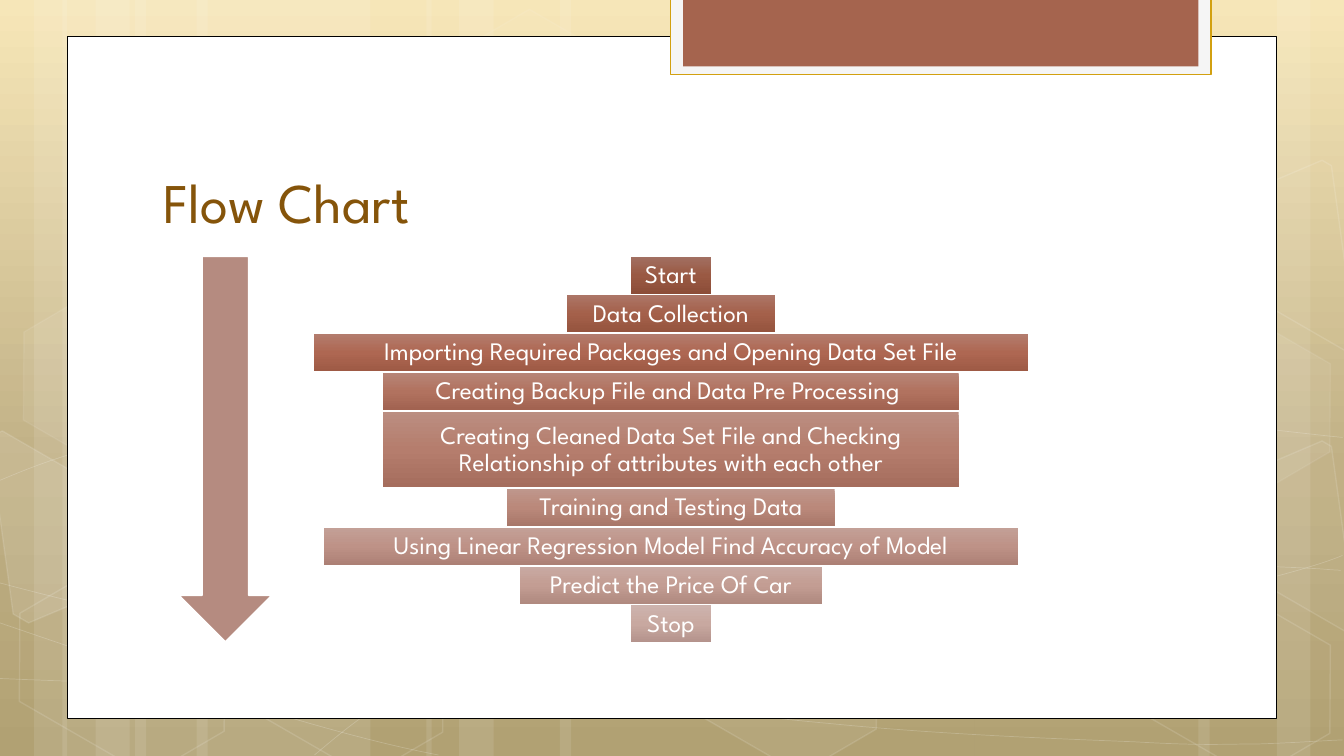
import copy

from lxml import etree
from pptx import Presentation
from pptx import util as u
from pptx.dml.color import RGBColor
from pptx.enum import shapes, text
from pptx.oxml import ns

WHITE = RGBColor(0xFF, 0xFF, 0xFF)
BLACK = RGBColor(0x00, 0x00, 0x00)
TITLE_BROWN = RGBColor(0x85, 0x54, 0x0A)
TAB_GREY = RGBColor(0xF5, 0xF5, 0xF5)
TAB_GOLD = RGBColor(0xD2, 0xA0, 0x10)
TAB_RUST = RGBColor(0xA5, 0x64, 0x4E)
ARROW_ROSE = RGBColor(0xB5, 0x8B, 0x80)
BACKDROP = [RGBColor.from_string(c) for c in ("F6E4B0", "BAA878", "A99764")]
STEP_GRADIENTS = [[RGBColor.from_string(c) for c in row.split()] for row in (
    "A27062 9A5943 8C4D38", "AC7566 A4604A 95543E", "B37C6D AE6752 9E5A45",
    "B78577 B1725F A26351", "BB8E81 B57D6D A56D5D", "BF978C BA887A A87769",
    "C3A097 BE9287 AC8075", "C8A9A2 C39D93 B08A80", "CDB3AD C8A8A0 B4938C")]
FONT = "League Spartan"
RECT = shapes.MSO_SHAPE.RECTANGLE


def paint(part, fill=None, middle=0.5, alpha=100, line=None, width=1, line_alpha=100):
    """Fill a part with nothing, a colour or a three-colour gradient, and outline a shape."""
    if fill is None:
        part.fill.background()
    elif isinstance(fill, list):
        part.fill.gradient()
        part.fill.gradient_angle = 270
        stops = part.element.find(".//" + ns.qn("a:gsLst"))
        stops.insert(1, copy.deepcopy(stops[0]))
        for stop, place, colour in zip(part.fill.gradient_stops, (0, middle, 1), fill):
            stop.position = place
            stop.color.rgb = colour
    else:
        part.fill.solid()
        part.fill.fore_color.rgb = fill
    if not hasattr(part, "line"):
        return
    part.shadow.inherit = False
    if line is None:
        part.line.fill.background()
    else:
        part.line.color.rgb = line
        part.line.width = u.Pt(width)
    for place, percent in (("p:spPr/a:solidFill", alpha), ("a:ln/a:solidFill", line_alpha)):
        for colour in part.element.xpath(f".//{place}/a:srgbClr"):
            if percent < 100:
                etree.SubElement(colour, ns.qn("a:alpha"), val=str(percent * 1000))


def write(part, words, size=18, colour=WHITE, align=text.PP_ALIGN.CENTER,
          anchor=text.MSO_ANCHOR.MIDDLE, inset=(3.6, 3.6), spacing=0.9):
    """Put one formatted paragraph into a shape."""
    frame = part.text_frame
    frame.word_wrap = True
    frame.vertical_anchor = anchor
    frame.margin_left = frame.margin_right = u.Pt(inset[0])
    frame.margin_top = frame.margin_bottom = u.Pt(inset[1])
    paragraph = frame.paragraphs[0]
    paragraph.alignment = align
    paragraph.line_spacing = spacing
    run = paragraph.add_run()
    run.text = words
    run.font.name = FONT
    run.font.size = u.Pt(size)
    run.font.color.rgb = colour


deck = Presentation()
deck.slide_width, deck.slide_height = u.Pt(960), u.Pt(540)
slide = deck.slides.add_slide(deck.slide_layouts[6])
paint(slide.background, BACKDROP, middle=0.62)
canvas = slide.shapes

# Pale vertical bands: left, width
for left, width in ((96.5, 168), (0, 48), (24.5, 80), (140.4, 168), (44.6, 48), (68.4, 80),
                    (696, 168), (912, 48), (856, 80), (400, 296), (304.6, 48), (328, 80)):
    band = canvas.add_shape(RECT, u.Pt(left), 0, u.Pt(width), u.Pt(540))
    paint(band, WHITE, alpha=10)

# Sweeping lines: a start point, then two controls and an end for each cubic
sweeps = [
    [(-0.7, 484.6), (51, 486.7), (103, 488.9), (175, 488.2), (247, 487.4), (335.5, 486),
     (431.3, 478.8), (527.8, 471.6), (663.8, 457.9), (752.4, 444.2), (840.2, 430.6),
     (930.2, 409), (959, 396.7)],
    [(-0.7, 343.4), (26.6, 331.9), (54, 321), (108.7, 310.3), (163.4, 299.5), (240.5, 283.7),
     (325.4, 278.6), (411, 273.6), (514, 272.9), (620, 278.6), (725.8, 284.4),
     (901.4, 306.7), (959, 312.5)],
    [(-2.2, 444.2), (113.8, 483.8), (229.7, 523.4), (313.2, 539.3)],
    [(-0.7, 416.2), (28.8, 424), (59, 432), (115.2, 443.5), (170.6, 454.3), (254.2, 472.3),
     (334, 484.6), (414.7, 496.8), (515.5, 509.8), (594.7, 517), (674.6, 524.9),
     (759.6, 527.8), (810.7, 529.9), (861, 532.8), (874, 531.4), (899.3, 531.4),
     (923.8, 530.6), (941.8, 529.2), (959, 528.5)],
    [(224.6, 539.3), (241.9, 524.9), (258.5, 510.5), (282.2, 497.5), (305.3, 484.6),
     (337.7, 470.2), (364.3, 460), (391, 450), (407.5, 445.7), (442.8, 438.5),
     (478, 431.3), (542.9, 421.2), (576, 416.2), (609, 411), (614.9, 411), (645, 409.7),
     (674.6, 407.5), (721.4, 405.4), (754.6, 404.6), (787.7, 403.9), (843, 404.6),
     (843, 404.6), (864, 404.6), (885, 404.6), (906.5, 404.6), (924.5, 405.4),
     (940.3, 406), (949, 406.8), (957.6, 407.5), (954.7, 406.8), (957.6, 407.5)],
]
for knots in sweeps:
    start, *rest = [(u.Pt(x), u.Pt(y)) for x, y in knots]
    builder = canvas.build_freeform(*start)
    builder.add_line_segments(rest, close=False)
    sweep = builder.convert_to_shape()
    track = sweep.element.find(".//" + ns.qn("a:path"))
    legs = track.findall(ns.qn("a:lnTo"))
    for first in range(0, len(legs), 3):
        cubic = etree.SubElement(track, ns.qn("a:cubicBezTo"))
        for leg in legs[first:first + 3]:
            cubic.append(leg[0])
            track.remove(leg)
    paint(sweep, line=WHITE, width=0.5, line_alpha=20)

# Tilted hexagons: left, top, fill opacity, line opacity
for left, top, alpha, line_alpha in (
        (312.5, 25.9, 4, 8), (468.7, 424, 6, 12), (2.9, 425.5, 0, 12), (5.8, 224.6, 7, 8),
        (159, 426.2, 0, 12), (792.7, 427, 0, 12), (792.7, 226, 7, 8)):
    hexagon = canvas.add_shape(shapes.MSO_SHAPE.HEXAGON, u.Pt(left), u.Pt(top),
                               u.Pt(168.5), u.Pt(109.4))
    hexagon.rotation = 30
    hexagon.adjustments[0] = 0.285
    paint(hexagon, WHITE if alpha else None, alpha=alpha, line=WHITE, line_alpha=line_alpha)

# Hexagons cut off by the slide edges: corners around a centre, before the tilt
left_shard = [(-66.2, -45.7), (-60.3, -54.6), (24.5, -54.6), (66, 0), (24.5, 54.8),
              (11.8, 54.8)]
right_shard = [(-65.3, 0), (-24, -54.8), (-16.3, -54.8), (65, 50), (61, 54.7), (-24, 54.7)]
for corners, centre_x, centre_y, alpha in (
        (left_shard, 26.6, 385.2, 10), (right_shard, 937.8, 374.4, 4),
        (right_shard, 937.8, 173.9, 0)):
    points = [(u.Pt(centre_x + x), u.Pt(centre_y + y)) for x, y in corners]
    builder = canvas.build_freeform(*points[0])
    builder.add_line_segments(points[1:], close=True)
    shard = builder.convert_to_shape()
    shard.rotation = 30
    paint(shard, WHITE if alpha else None, alpha=alpha, line=WHITE, line_alpha=12)

# White page and the tab hanging from the top edge
for box, look in (((48, 26, 864, 487), dict(fill=WHITE, line=BLACK, width=0.5)),
                  ((479, -1.5, 386, 54.7), dict(fill=TAB_GREY, line=TAB_GOLD)),
                  ((488, -1.5, 368, 49), dict(fill=TAB_RUST))):
    paint(canvas.add_shape(RECT, *map(u.Pt, box)), **look)

title = canvas.add_textbox(u.Pt(109.4), u.Pt(81.2), u.Pt(737), u.Pt(90))
write(title, "Flow Chart", size=40, colour=TITLE_BROWN, align=text.PP_ALIGN.LEFT,
      anchor=text.MSO_ANCHOR.BOTTOM, inset=(7.2, 3.6), spacing=1.0)

# Flow steps, stacked on one centre line: words, width, rows taken
steps = [
    ("Start", 57, 1),
    ("Data Collection", 149, 1),
    ("Importing Required Packages and Opening Data Set File", 510.5, 1),
    ("Creating Backup File and Data Pre Processing ", 411, 1),
    ("Creating Cleaned Data Set File and Checking Relationship of attributes with each other",
     411, 2),
    ("Training and Testing Data", 234, 1),
    ("Using Linear Regression Model Find Accuracy of Model", 496, 1),
    ("Predict the Price Of Car", 216, 1),
    ("Stop", 57, 1),
]
CENTRE, PITCH, GAP = 479.2, 27.68, 1.3
top = 183.3
for (words, width, rows), gradient in zip(steps, STEP_GRADIENTS):
    step = canvas.add_shape(RECT, u.Pt(CENTRE - width / 2), u.Pt(top),
                            u.Pt(width), u.Pt(rows * PITCH - GAP))
    paint(step, gradient)
    write(step, words)
    top += rows * PITCH

flow_arrow = canvas.add_shape(shapes.MSO_SHAPE.DOWN_ARROW, u.Pt(127.4), u.Pt(183),
                              u.Pt(67.3), u.Pt(275.8))
paint(flow_arrow, ARROW_ROSE, line=WHITE, width=1.5)

deck.save("out.pptx")
